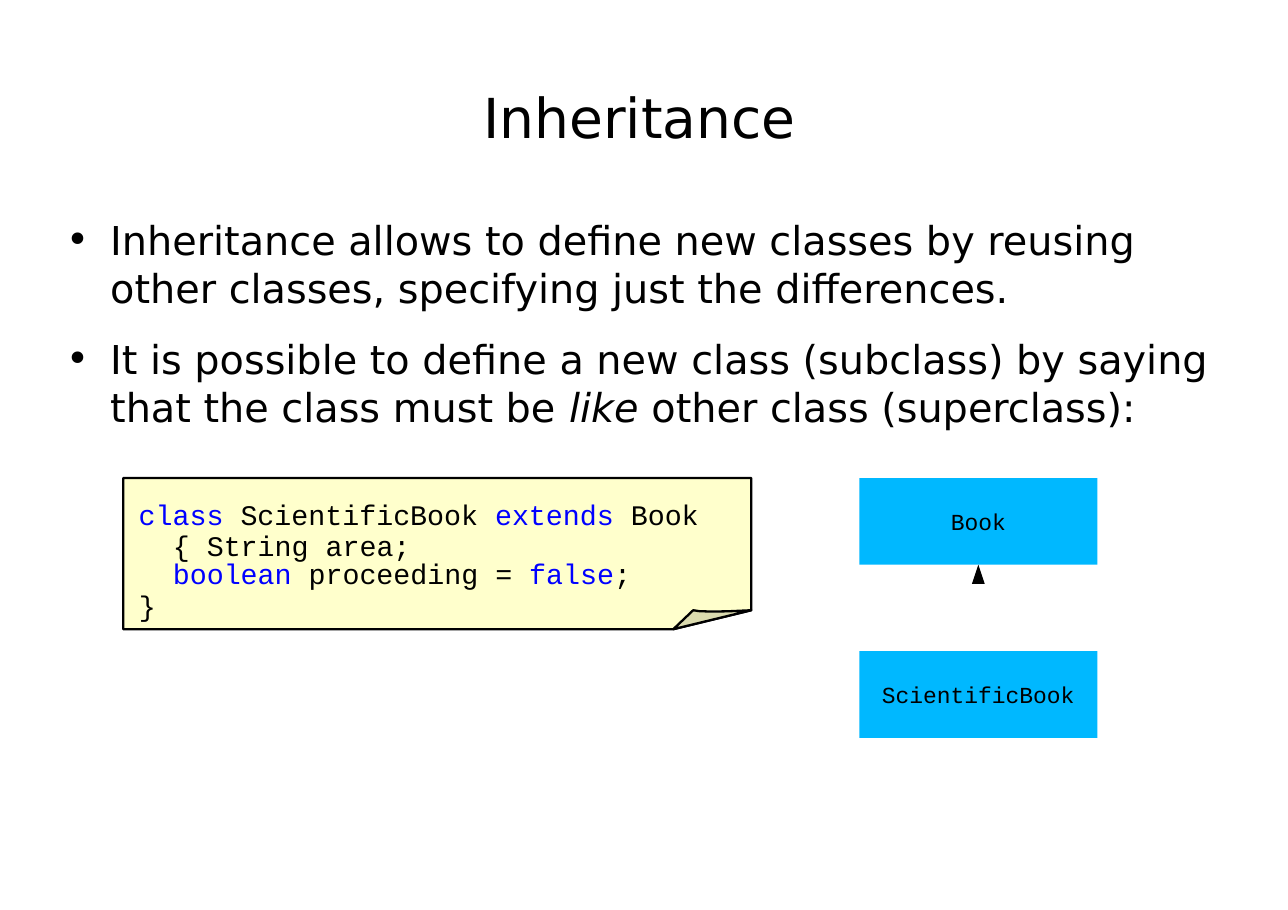
from lxml import etree
from pptx import Presentation
from pptx.dml.color import RGBColor
from pptx.enum.shapes import MSO_SHAPE
from pptx.enum.text import MSO_ANCHOR, MSO_AUTO_SIZE, PP_ALIGN
from pptx.oxml.ns import qn
from pptx.util import Pt

RECTANGLE = MSO_SHAPE.RECTANGLE
TRIANGLE = MSO_SHAPE.ISOSCELES_TRIANGLE
TOP, MIDDLE = MSO_ANCHOR.TOP, MSO_ANCHOR.MIDDLE
NO_AUTOFIT = MSO_AUTO_SIZE.NONE
LEFT, CENTER = PP_ALIGN.LEFT, PP_ALIGN.CENTER

BLACK = RGBColor(0x00, 0x00, 0x00)
KEYWORD_BLUE = RGBColor(0x00, 0x00, 0xFF)
CLASS_BLUE = RGBColor(0x00, 0xB8, 0xFF)
NOTE_YELLOW = RGBColor(0xFF, 0xFF, 0xCC)
FOLD_OLIVE = RGBColor(0xDB, 0xDB, 0xAF)

SANS, MONO = "DejaVu Sans", "Courier New"
KEYWORDS = {"class ", "extends ", "boolean ", "false"}

BULLETS = [
    ["Inheritance allows to define new classes by reusing other classes, "
     "specifying just the differences."],
    ["It is possible to define a new class (subclass) by saying "
     "that the class must be ", "like ", "other class (superclass):"],
]
# Spans, left margin, first-line indent and line height of each code paragraph
CODE = [
    (["class ", "ScientificBook ", "extends ", "Book { String area;"], 23, -22.3, 19.9),
    (["boolean ", "proceeding = ", "false", ";"], 23, 0, 18.4),
    (["}"], 0.7, 0, 21.1),
]


def place(shape, left, top, width, height):
    shape.left, shape.top = Pt(left), Pt(top)
    shape.width, shape.height = Pt(width), Pt(height)


def prepare_frame(frame, anchor):
    frame.word_wrap = True
    frame.auto_size = NO_AUTOFIT
    frame.vertical_anchor = anchor
    frame.margin_left = frame.margin_right = 0
    frame.margin_top = frame.margin_bottom = 0


def style(span, font, size, color=BLACK):
    span.font.name = font
    span.font.size = Pt(size)
    span.font.color.rgb = color


def paragraph_at(frame, index):
    return frame.add_paragraph() if index else frame.paragraphs[0]


def set_indent(para, margin, first_line):
    properties = para._p.get_or_add_pPr()
    properties.set("marL", str(Pt(margin)))
    properties.set("indent", str(Pt(first_line)))
    return properties


def paint(shape, fill, line=None):
    shape.shadow.inherit = False
    shape.fill.solid()
    shape.fill.fore_color.rgb = fill
    if line is None:
        shape.line.fill.background()
    else:
        shape.line.color.rgb = line
        shape.line.width = Pt(1.5)


def add_title(page, left, top, width, height):
    title = page.shapes.title
    place(title, left, top, width, height)
    prepare_frame(title.text_frame, TOP)
    title.text_frame.text = "Inheritance"
    para = title.text_frame.paragraphs[0]
    para.alignment = CENTER
    style(para.runs[0], SANS, 36)


def add_bullets(page, left, top, width, height):
    body = page.placeholders[1]
    place(body, left, top, width, height)
    prepare_frame(body.text_frame, TOP)
    for index, texts in enumerate(BULLETS):
        para = paragraph_at(body.text_frame, index)
        para.alignment = LEFT
        para.line_spacing = Pt(31.4)
        para.space_before = Pt(0)
        para.space_after = Pt(15)
        properties = set_indent(para, 29, -29)
        etree.SubElement(properties, qn("a:buFont")).set("typeface", SANS)
        etree.SubElement(properties, qn("a:buChar")).set("char", "•")
        for text in texts:
            span = para.add_run()
            span.text = text
            style(span, SANS, 26)
            span.font.italic = text == "like "


def add_outline(page, points, fill):
    start, *others = [(Pt(x), Pt(y)) for x, y in points]
    builder = page.shapes.build_freeform(*start, scale=1.0)
    builder.add_line_segments(others, close=True)
    paint(builder.convert_to_shape(), fill, BLACK)


def add_code_note(page, left, top, width, height):
    right, bottom = left + width, top + height
    fold_left, fold_top = right - 51, bottom - 12.4

    # Sheet and its turned-up corner
    add_outline(page, [(left, top), (right, top), (right, fold_top),
                       (fold_left, bottom), (left, bottom)], NOTE_YELLOW)
    add_outline(page, [(fold_left, bottom), (fold_left + 13, fold_top),
                       (fold_left + 17, fold_top + 0.6),
                       (fold_left + 25, fold_top + 0.9),
                       (fold_left + 36, fold_top + 0.7),
                       (right, fold_top)], FOLD_OLIVE)

    # Code
    box = page.shapes.add_textbox(Pt(left + 9.4), Pt(top + 15), Pt(382), Pt(80))
    prepare_frame(box.text_frame, TOP)
    for index, (texts, margin, first_line, line_height) in enumerate(CODE):
        para = paragraph_at(box.text_frame, index)
        para.line_spacing = Pt(line_height)
        set_indent(para, margin, first_line)
        for text in texts:
            span = para.add_run()
            span.text = text
            style(span, MONO, 18.5, KEYWORD_BLUE if text in KEYWORDS else BLACK)


def add_class_diagram(page, left, top, width, height):
    box_height = height / 3

    # Superclass above, subclass below
    for row, name in enumerate(["Book", "ScientificBook"]):
        box = page.shapes.add_shape(RECTANGLE, Pt(left), Pt(top + 2 * row * box_height),
                                    Pt(width), Pt(box_height))
        paint(box, CLASS_BLUE)
        prepare_frame(box.text_frame, MIDDLE)
        box.text_frame.text = name
        para = box.text_frame.paragraphs[0]
        para.alignment = CENTER
        style(para.runs[0], MONO, 15)

    # Inheritance arrowhead under the superclass
    head_width = 8.4
    head = page.shapes.add_shape(TRIANGLE, Pt(left + (width - head_width) / 2),
                                 Pt(top + box_height), Pt(head_width), Pt(12.6))
    paint(head, BLACK)


def main():
    deck = Presentation()
    deck.slide_width, deck.slide_height = Pt(841.68), Pt(594.72)
    page = deck.slides.add_slide(deck.slide_layouts[1])
    add_title(page, 98, 54.8, 640, 45)
    add_bullets(page, 43, 140.7, 762, 145)
    add_code_note(page, 80.6, 312.4, 410.4, 98.8)
    add_class_diagram(page, 561.6, 312.4, 155.5, 169.8)
    deck.save("out.pptx")


if __name__ == "__main__":
    main()
